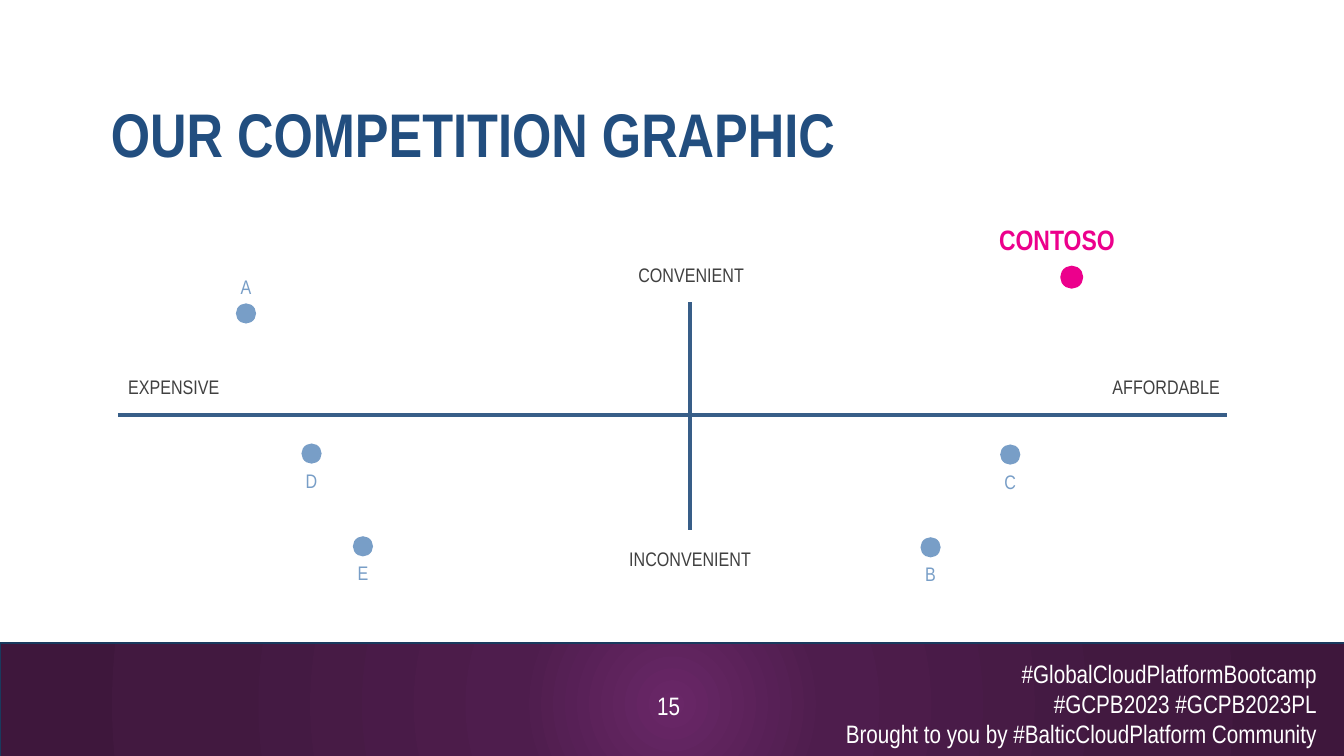
from pptx import Presentation
from pptx.dml.color import RGBColor
from pptx.enum.shapes import MSO_CONNECTOR, MSO_SHAPE
from pptx.enum.text import MSO_ANCHOR, MSO_AUTO_SIZE, PP_ALIGN
from pptx.oxml import parse_xml
from pptx.oxml.ns import nsdecls, qn
from pptx.util import Inches, Pt
from lxml import etree

FONT = "Arial Narrow"
NAVY = RGBColor(0x22, 0x4E, 0x7F)
AXIS = RGBColor(0x38, 0x5E, 0x88)
BAR_EDGE = RGBColor(0x19, 0x3A, 0x5E)
GREY = RGBColor(0x40, 0x40, 0x40)
RIVAL = RGBColor(0x78, 0x9E, 0xC7)
PINK = RGBColor(0xEC, 0x00, 0x8C)
WHITE = RGBColor(0xFF, 0xFF, 0xFF)
BAR_STOPS = [(0, "692767"), (23, "4E1D4D"), (69, "421940"), (97, "3E173C")]
DOT = 0.2


def write(sp, box, text, size, color, align=PP_ALIGN.LEFT, bold=False, spacing=None):
    """Place a text shape at box (inches) and fill it with formatted lines."""
    sp.left, sp.top, sp.width, sp.height = [Inches(v) for v in box]
    tf = sp.text_frame
    tf.text = text
    tf.word_wrap = True
    tf.auto_size = MSO_AUTO_SIZE.NONE
    tf.vertical_anchor = MSO_ANCHOR.TOP
    for p in tf.paragraphs:
        p.alignment = align
        p.space_before = Pt(0)
        if spacing:
            p.line_spacing = spacing
        for r in p.runs:
            r.font.name, r.font.size, r.font.bold = FONT, Pt(size), bold
            r.font.color.rgb = color
    return tf


def add_dot(shapes, x, y, color):
    sp = shapes.add_shape(MSO_SHAPE.OVAL, Inches(x), Inches(y), Inches(DOT), Inches(DOT))
    sp.shadow.inherit = False
    sp.fill.solid()
    sp.fill.fore_color.rgb = color
    sp.line.fill.background()
    return sp


prs = Presentation()
prs.slide_width, prs.slide_height = Inches(13.33), Inches(7.5)
s = prs.slides.add_slide(prs.slide_layouts.get_by_name("Comparison"))

# Footer bar with a radial gradient
bar = s.shapes.add_shape(MSO_SHAPE.RECTANGLE, 0, Inches(6.38), Inches(13.34), Inches(1.21))
bar.shadow.inherit = False
bar.line.color.rgb = BAR_EDGE
bar.line.width = Pt(1)
stops = "".join(f'<a:gs pos="{pos * 1000}"><a:srgbClr val="{c}"/></a:gs>' for pos, c in BAR_STOPS)
gradient = parse_xml(
    f'<a:gradFill {nsdecls("a")} rotWithShape="1"><a:gsLst>{stops}</a:gsLst>'
    '<a:path path="circle"><a:fillToRect l="50000" t="50000" r="50000" b="50000"/></a:path>'
    '</a:gradFill>')
bar.element.spPr.find(qn("a:prstGeom")).addnext(gradient)

hashtags = ("#GlobalCloudPlatformBootcamp\n#GCPB2023 #GCPB2023PL\n"
            "Brought to you by #BalticCloudPlatform Community")
tf = write(s.shapes.add_textbox(0, 0, 0, 0), (8.28, 6.48, 5.05, 1.01),
           hashtags, 18, WHITE, PP_ALIGN.RIGHT)
tf.paragraphs[0]._p.get_or_add_pPr().set("marR", str(Inches(0.17)))

# Axes
for x1, y1, x2, y2 in [(1.17, 4.12, 12.17, 4.12), (6.84, 3, 6.84, 5.26)]:
    axis = s.shapes.add_connector(MSO_CONNECTOR.STRAIGHT, Inches(x1), Inches(y1),
                                  Inches(x2), Inches(y2))
    axis.line.color.rgb = AXIS
    axis.line.width = Pt(3)
    etree.SubElement(axis.element.spPr, qn("a:effectLst"))

# Title and axis labels
write(s.shapes.title, (1, 0.98, 11.5, 1.45), "OUR COMPETITION GRAPHIC", 44, NAVY,
      bold=True, spacing=0.9)
axis_labels = [
    ("CONVENIENT", 5.77, 2.58, PP_ALIGN.CENTER),
    ("EXPENSIVE", 1.17, 3.7, PP_ALIGN.LEFT),
    ("AFFORDABLE", 10.03, 3.7, PP_ALIGN.RIGHT),
    ("INCONVENIENT", 5.76, 5.4, PP_ALIGN.CENTER),
]
bodies = [ph for ph in s.placeholders if ph.placeholder_format.idx != 0]
for body, (text, x, y, align) in zip(bodies, axis_labels):
    tf = write(body, (x, y, 2.17, 0.4), text, 14, GREY, align, spacing=0.9)
    pPr = tf.paragraphs[0]._p.get_or_add_pPr()
    pPr.set("marL", "0")
    pPr.set("indent", "0")
    etree.SubElement(pPr, qn("a:buNone"))

# Competitors: dot position and label offset from the dot
ABOVE, BELOW = -0.33, 0.2
competitors = [
    ("A", 2.34, 3.01, ABOVE),
    ("E", 3.5, 5.32, BELOW),
    ("C", 9.92, 4.41, BELOW),
    ("B", 9.13, 5.33, BELOW),
    ("D", 2.99, 4.4, BELOW),
]
for name, x, y, offset in competitors:
    group = s.shapes.add_group_shape().shapes
    write(group.add_textbox(0, 0, 0, 0), (x + DOT / 2 - 1.15, y + offset, 2.3, 0.34),
          name, 14, RIVAL, PP_ALIGN.CENTER)
    add_dot(group, x, y, RIVAL)

# Our company
group = s.shapes.add_group_shape().shapes
dot = add_dot(group, 10.53, 2.65, PINK)
dot.line.color.rgb = PINK
dot.line.width = Pt(2)
write(group.add_textbox(0, 0, 0, 0), (9.81, 2.2, 1.65, 0.44), "CONTOSO", 20, PINK,
      bold=True, spacing=0.9)

write(s.shapes.add_textbox(0, 0, 0, 0), (6.42, 6.8, 0.5, 0.4), "15", 18, WHITE)

prs.save("out.pptx")
